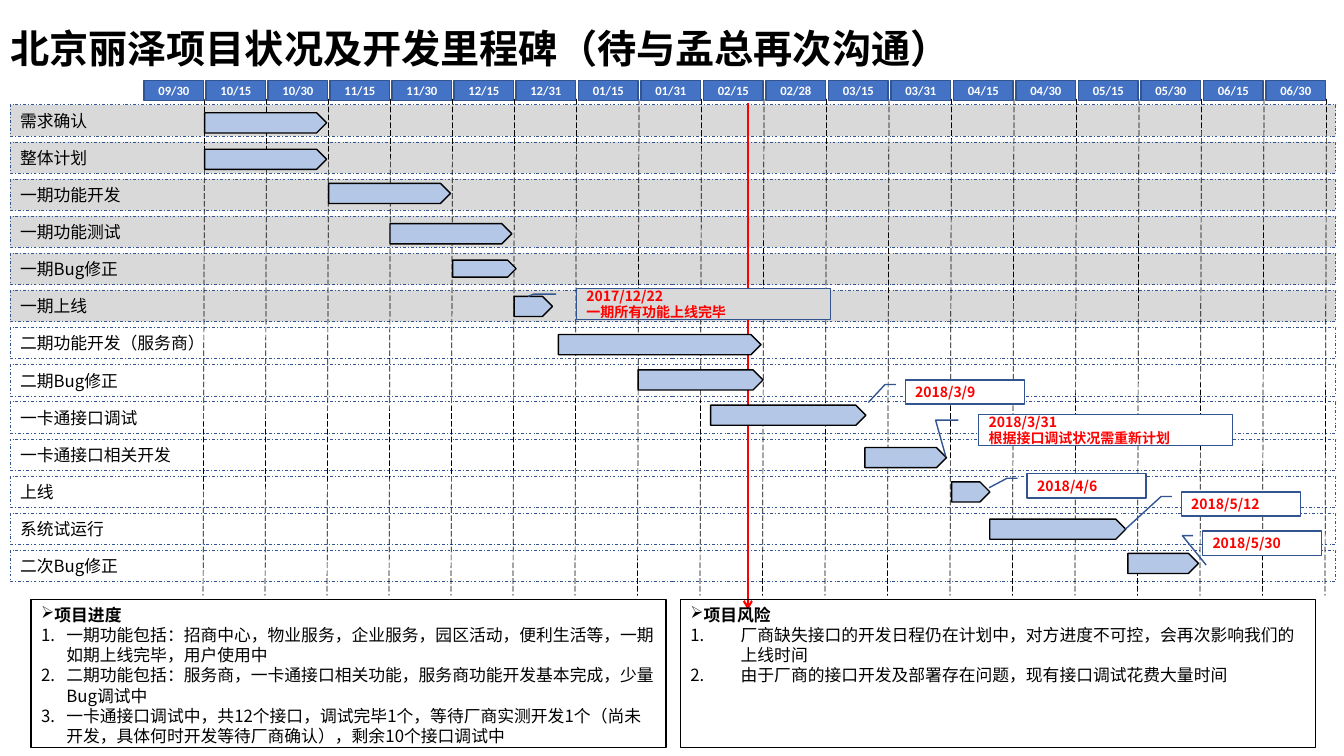
from dataclasses import dataclass

import pptx
import pptx.util
import pptx.dml.color
import pptx.enum.dml
import pptx.enum.shapes
import pptx.enum.text
import pptx.oxml.ns
from lxml import etree

Pt = pptx.util.Pt
KIND = pptx.enum.shapes.MSO_SHAPE
DASH = pptx.enum.dml.MSO_LINE
ALIGN = pptx.enum.text.PP_ALIGN
ANCHOR = pptx.enum.text.MSO_ANCHOR
qn = pptx.oxml.ns.qn

CJK = "Noto Sans CJK SC"
BLACK, WHITE, RED = "000000", "FFFFFF", "FF0000"
GREY, NAVY, BLUE, PALE = "D9D9D9", "325491", "4472C4", "B4C7E7"

ROW_TOP, ROW_STEP, DONE = 74.88, 26.52, 6


@dataclass
class Task:
    name: str
    left: float
    top: float
    width: float
    height: float = 14.4


@dataclass
class Note:
    text: str
    left: float
    top: float
    tip_y: float
    tip_x: float
    fill: str = WHITE


@dataclass
class Panel:
    left: float
    indent: float
    head: str
    items: list[str]


DATES = ("09/30 10/15 10/30 11/15 11/30 12/15 12/31 01/15 01/31 02/15 "
         "02/28 03/15 03/31 04/15 04/30 05/15 05/30 06/15 06/30").split()

TASKS = [
    Task("需求确认", 146.2, 80.6, 87.1),
    Task("整体计划", 146.2, 106.6, 87.1),
    Task("一期功能开发", 234.7, 131, 87.1),
    Task("一期功能测试", 278.6, 159.8, 87.1),
    Task("一期Bug修正", 323.3, 185.8, 45.4, 12.2),
    Task("一期上线", 367.2, 211.7, 27.4),
    Task("二期功能开发（服务商）", 398.9, 239, 144.7),
    Task("二期Bug修正", 455.8, 264.2, 89.3),
    Task("一卡通接口调试", 507.6, 289.4, 110.9),
    Task("一卡通接口相关开发", 617.8, 319.7, 58.3),
    Task("上线", 679.7, 344.2, 27.4),
    Task("系统试运行", 707, 370.8, 97.2),
    Task("二次Bug修正", 805.7, 395.3, 50.4),
]

NOTES = [
    Note("2017/12/22\n一期所有功能上线完毕", 411.8, 205.9, 0.26, -0.19, GREY),
    Note("2018/3/9", 646.6, 271.4, 0.93, -0.31),
    Note("2018/3/31\n根据接口调试状况需重新计划", 699.1, 295.9, 1.35, -0.13),
    Note("2018/4/6", 733.7, 338.4, 0.58, -0.32),
    Note("2018/5/12", 843.8, 351.4, 1.54, -0.47),
    Note("2018/5/30", 859, 379.4, 1.4, 0.03),
]

PANELS = [
    Panel(22.3, 18, "项目进度", [
        "一期功能包括：招商中心，物业服务，企业服务，园区活动，便利生活等，一期如期上线完毕，用户使用中",
        "二期功能包括：服务商，一卡通接口相关功能，服务商功能开发基本完成，少量Bug调试中",
        "一卡通接口调试中，共12个接口，调试完毕1个，等待厂商实测开发1个（尚未开发，具体何时开发等待厂商确认），剩余10个接口调试中",
    ]),
    Panel(486, 36, "项目风险", [
        "厂商缺失接口的开发日程仍在计划中，对方进度不可控，会再次影响我们的上线时间",
        "由于厂商的接口开发及部署存在问题，现有接口调试花费大量时间",
    ]),
]


def rgb(code: str):
    return pptx.dml.color.RGBColor.from_string(code)


def style(frame, size: float, color: str = BLACK, bold: bool = False,
          font: str = CJK, align=ALIGN.LEFT) -> None:
    """Format every run of a text frame, East Asian face included."""
    for para in frame.paragraphs:
        para.alignment = align
        for run in para.runs:
            run.font.size = Pt(size)
            run.font.bold = bold
            run.font.name = font
            run.font.color.rgb = rgb(color)
            face = etree.SubElement(run.font._element, qn("a:ea"))
            face.set("typeface", CJK)


def box(slide, kind, left: float, top: float, width: float, height: float,
        fill: str | None, line: str, weight: float = 1, text: str = ""):
    shape = slide.shapes.add_shape(kind, Pt(left), Pt(top), Pt(width), Pt(height))
    shape.shadow.inherit = False
    if fill:
        shape.fill.solid()
        shape.fill.fore_color.rgb = rgb(fill)
    else:
        shape.fill.background()
    shape.line.color.rgb = rgb(line)
    shape.line.width = Pt(weight)
    if text:
        shape.text_frame.text = text
        shape.text_frame.vertical_anchor = ANCHOR.MIDDLE
    return shape


def rule(slide, x1: float, y1: float, x2: float, y2: float,
         color: str, weight: float):
    line = slide.shapes.add_connector(
        pptx.enum.shapes.MSO_CONNECTOR.STRAIGHT, Pt(x1), Pt(y1), Pt(x2), Pt(y2))
    line.line.color.rgb = rgb(color)
    line.line.width = Pt(weight)
    etree.SubElement(line._element.spPr, qn("a:effectLst"))
    return line


def column(index: int) -> float:
    """Left edge of a date; the step is slightly wider from the seventh on."""
    return 102.96 + 44.28 * index + 0.36 * max(0, index - 6)


def bullet(para, tag: str, key: str, mark: str, indent: float = 0) -> None:
    props = para._p.get_or_add_pPr()
    props.set("marL", str(Pt(indent)))
    props.set("indent", str(-Pt(indent)))
    etree.SubElement(props, qn(tag)).set(key, mark)


def add_title(slide) -> None:
    title = slide.shapes.title
    title.left, title.top, title.width, title.height = Pt(0), Pt(17.3), Pt(941), Pt(46)
    frame = title.text_frame
    frame.text = "北京丽泽项目状况及开发里程碑（待与孟总再次沟通）"
    frame.auto_size = pptx.enum.text.MSO_AUTO_SIZE.NONE
    frame.vertical_anchor = ANCHOR.TOP
    frame.paragraphs[0].line_spacing = 0.9
    style(frame, 28, bold=True)


def add_grid(slide) -> None:
    for index, task in enumerate(TASKS):
        row = box(slide, KIND.RECTANGLE, 7.2, ROW_TOP + index * ROW_STEP, 946.8, 22.3,
                  GREY if index < DONE else None, NAVY, 0.5, task.name)
        row.line.dash_style = DASH.DASH_DOT
        style(row.text_frame, 12)
    for index, date in enumerate(DATES):
        left = column(index)
        line = rule(slide, left + 43.2, 70.6, left + 42.1, 425.5, BLACK, 0.5)
        line.line.dash_style = DASH.LONG_DASH
        head = box(slide, KIND.RECTANGLE, left, 57.6, 42.5, 14.4, BLUE, NAVY, text=date)
        style(head.text_frame, 9, WHITE, True, "Calibri", ALIGN.CENTER)


def add_today(slide) -> None:
    today = rule(slide, 534.2, 435.6, 534.2, 73.4, RED, 1.5)
    etree.SubElement(today.line._get_or_add_ln(), qn("a:headEnd")).set("type", "arrow")


def add_note(slide, note: Note) -> None:
    width, height = (181.4, 22.3) if "\n" in note.text else (85, 17.3)
    shape = box(slide, KIND.LINE_CALLOUT_2, note.left, note.top, width, height,
                note.fill, NAVY, text=note.text)
    bends = (0.19, -0.08, 0.19, -0.17, note.tip_y, note.tip_x)
    for index, value in enumerate(bends):
        shape.adjustments[index] = value
    style(shape.text_frame, 10, RED, True)


def add_panel(slide, panel: Panel) -> None:
    shape = box(slide, KIND.RECTANGLE, panel.left, 428.4, 453.6, 105.8, None, BLACK,
                text="\n".join([panel.head, *panel.items]))
    frame = shape.text_frame
    frame.vertical_anchor = ANCHOR.TOP
    style(frame, 12)
    head, *items = frame.paragraphs
    head.runs[0].font.bold = True
    bullet(head, "a:buChar", "char", "➢")
    for item in items:
        bullet(item, "a:buAutoNum", "type", "arabicPeriod", panel.indent)


def main() -> None:
    deck = pptx.Presentation()
    deck.slide_width, deck.slide_height = Pt(960), Pt(540)
    slide = deck.slides.add_slide(deck.slide_layouts.get_by_name("Title Only"))
    add_title(slide)
    add_grid(slide)
    add_today(slide)
    for task in TASKS:
        box(slide, KIND.PENTAGON, task.left, task.top, task.width, task.height, PALE, BLACK)
    for note in NOTES:
        add_note(slide, note)
    for panel in PANELS:
        add_panel(slide, panel)
    deck.save("out.pptx")


if __name__ == "__main__":
    main()
